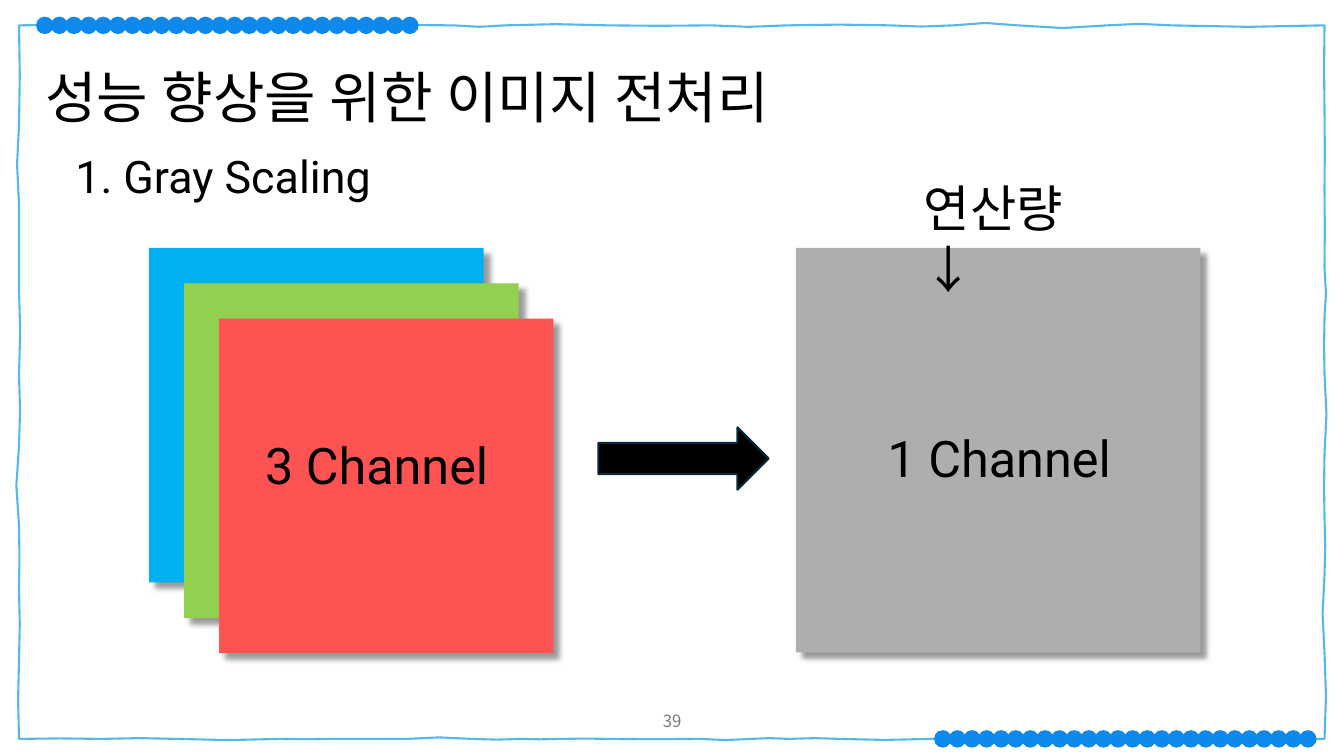
from dataclasses import dataclass

from lxml.etree import SubElement
from pptx import Presentation
from pptx.dml.color import RGBColor
from pptx.enum.lang import MSO_LANGUAGE_ID
from pptx.enum.shapes import MSO_SHAPE
from pptx.enum.text import MSO_ANCHOR, MSO_AUTO_SIZE, PP_ALIGN
from pptx.oxml.ns import qn
from pptx.shapes.autoshape import Shape
from pptx.shapes.shapetree import GroupShapes, SlideShapes
from pptx.util import Cm, Pt


@dataclass(frozen=True)
class Theme:
    font: str = "Roboto"
    number_font: str = "Noto Sans CJK KR"
    ink: str = "000000"
    number: str = "797979"
    frame: str = "56B7E8"
    dot: str = "0D88ED"
    blue: str = "00B0F0"
    green: str = "92D050"
    red: str = "FF5353"
    gray: str = "AEAEAE"
    arrow_line: str = "092A39"
    title_size: int = 40
    label_size: int = 36
    heading_size: int = 32
    number_size: int = 12


THEME = Theme()


@dataclass(frozen=True)
class Label:
    text: str
    left: float
    top: float
    width: float
    height: float
    size: int = THEME.label_size
    wrap: bool = False
    font: str = THEME.font
    color: str = THEME.ink
    align: PP_ALIGN = PP_ALIGN.LEFT
    anchor: MSO_ANCHOR = MSO_ANCHOR.TOP


@dataclass(frozen=True)
class Square:
    left: float
    top: float
    side: float
    color: str


@dataclass(frozen=True)
class Wave:
    stop: float
    first: float
    second: float


@dataclass(frozen=True)
class Edge:
    start: float
    level: float
    horizontal: bool
    waves: tuple[Wave, ...]


def waves(*rows: tuple[float, float, float]) -> tuple[Wave, ...]:
    return tuple(Wave(*row) for row in rows)


LEFT, TOP, RIGHT, BOTTOM = 0.48, 0.64, 33.38, 18.62
CURVE_STEPS = 2

FRAME = (
    Edge(LEFT, TOP, True, waves(
        (2.08, 0.05, -0.08), (3.02, 0.08, 0.03), (5.64, -0.03, -0.1),
        (7.24, 0.1, 0.05), (8.84, -0.05, -0.05), (11.43, 0.08, -0.1),
        (12.73, 0.1, 0), (15.32, 0, -0.08), (17.91, 0.08, -0.05),
        (19.84, 0.05, 0.05), (22.43, -0.05, 0), (24.03, 0, 0.08),
        (25.65, -0.08, -0.08), (27.91, 0.08, 0.1), (29.51, -0.1, 0),
        (RIGHT, 0, 0.1))),
    Edge(TOP, RIGHT, False, waves(
        (2.79, 0, -0.03), (4.78, 0.05, -0.03), (6.76, 0.05, -0.03),
        (8, 0.05, 0.05), (9.45, -0.03, 0), (11.43, 0.03, 0.1),
        (13.06, -0.08, 0.05), (14.48, -0.03, 0.08), (16.46, -0.05, -0.08),
        (BOTTOM, 0.1, 0))),
    Edge(RIGHT, BOTTOM, True, waves(
        (31.45, 0.08, -0.03), (30.18, 0.03, -0.03), (27.91, 0.03, -0.05),
        (26.64, 0.05, 0.03), (24.36, -0.03, 0.08), (23.42, -0.08, 0.03),
        (21.16, -0.03, 0.1), (19.89, -0.1, 0.05), (18.92, -0.05, 0),
        (17.65, 0.03, 0.05), (15.39, -0.03, 0.05), (14.1, -0.05, 0.03),
        (13.16, 0.03, 0), (11.89, 0, 0.05), (10.26, -0.05, -0.05),
        (8.33, 0.05, -0.05), (7.06, 0.05, -0.03), (4.47, 0.08, 0),
        (2.54, 0, -0.05), (LEFT, 0.05, -0.08))),
    Edge(BOTTOM, LEFT, False, waves(
        (16.64, -0.03, -0.03), (14.83, 0, 0.05), (13.23, -0.05, 0.08),
        (11.25, -0.08, -0.1), (9.45, 0.1, -0.03), (7.29, 0, 0.08),
        (5.13, -0.08, 0.08), (3.15, -0.08, -0.05), (TOP, 0.05, 0))),
)

DOT_COUNT, DOT_SIZE, DOT_ROW_SPAN = 26, 0.44, 9.2
DOT_ROWS = ((0.91, 0.42), (23.54, 18.4))

STEP_RIGHT, STEP_DOWN = 0.88, 0.89
SQUARES = (
    *(Square(3.76 + i * STEP_RIGHT, 6.25 + i * STEP_DOWN, 8.43, color)
      for i, color in enumerate((THEME.blue, THEME.green, THEME.red))),
    Square(20.06, 6.25, 10.19, THEME.gray),
)

LABELS = (
    Label("39", 13.13, 17.65, 7.62, 1.02, THEME.number_size, True,
          THEME.number_font, THEME.number, PP_ALIGN.CENTER, MSO_ANCHOR.MIDDLE),
    Label("성능 향상을 위한 이미지 전처리", 0.89, 1.45, 31.32, 1.96, THEME.title_size, True),
    Label("1. Gray Scaling", 1.65, 3.63, 8.64, 1.63, THEME.heading_size),
    Label("3 Channel", 6.43, 10.82, 6.53, 1.8),
    Label("1 Channel", 22.12, 10.65, 6.53, 1.8),
    Label("연산량 ↓", 23.03, 4.34, 5.46, 1.8, wrap=True),
)


def edge_points(edge: Edge) -> list[tuple[Cm, Cm]]:
    points = []
    start = edge.start
    for wave in edge.waves:
        for step in range(1, CURVE_STEPS + 1):
            t = step / CURVE_STEPS
            along = start + (wave.stop - start) * t
            bend = 3 * t * (1 - t) * (wave.first * (1 - t) + wave.second * t)
            across = edge.level + bend
            x, y = (along, across) if edge.horizontal else (across, along)
            points.append((Cm(x), Cm(y)))
        start = wave.stop
    return points


def draw_frame(shapes: SlideShapes) -> None:
    builder = shapes.build_freeform(Cm(LEFT), Cm(TOP))
    builder.add_line_segments([point for edge in FRAME for point in edge_points(edge)])
    frame = builder.convert_to_shape()
    frame.shadow.inherit = False
    frame.fill.background()
    frame.line.color.rgb = RGBColor.from_string(THEME.frame)
    frame.line.width = Pt(1.5)


def draw_shape(shapes: SlideShapes | GroupShapes, kind: MSO_SHAPE, left: float,
               top: float, width: float, height: float, color: str) -> Shape:
    shape = shapes.add_shape(kind, Cm(left), Cm(top), Cm(width), Cm(height))
    shape.shadow.inherit = False
    shape.fill.solid()
    shape.fill.fore_color.rgb = RGBColor.from_string(color)
    shape.line.fill.background()
    return shape


def draw_dot_row(shapes: SlideShapes, left: float, top: float) -> None:
    row = shapes.add_group_shape()
    gap = DOT_ROW_SPAN / (DOT_COUNT - 1)
    for i in range(DOT_COUNT):
        draw_shape(row.shapes, MSO_SHAPE.OVAL, left + i * gap, top, DOT_SIZE, DOT_SIZE, THEME.dot)


def draw_square(shapes: SlideShapes, square: Square) -> None:
    shape = draw_shape(shapes, MSO_SHAPE.RECTANGLE, square.left, square.top,
                       square.side, square.side, square.color)
    effects = shape.element.spPr.find(qn("a:effectLst"))
    shadow = SubElement(effects, qn("a:outerShdw"), blurRad=str(Pt(4)), dist=str(Pt(6)),
                        dir="2700000", algn="tl", rotWithShape="0")
    color = SubElement(shadow, qn("a:srgbClr"), val=THEME.ink)
    SubElement(color, qn("a:alpha"), val="40000")


def draw_label(shapes: SlideShapes, label: Label) -> None:
    box = shapes.add_textbox(Cm(label.left), Cm(label.top), Cm(label.width), Cm(label.height))
    frame = box.text_frame
    frame.word_wrap = label.wrap
    frame.auto_size = MSO_AUTO_SIZE.NONE
    frame.vertical_anchor = label.anchor
    para = frame.paragraphs[0]
    para.alignment = label.align
    span = para.add_run()
    span.text = label.text
    span.font.name = label.font
    span.font.size = Pt(label.size)
    span.font.language_id = MSO_LANGUAGE_ID.KOREAN
    span.font.color.rgb = RGBColor.from_string(label.color)
    for script in ("a:ea", "a:cs"):
        SubElement(span.font._element, qn(script), typeface=label.font)


def main() -> None:
    deck = Presentation()
    deck.slide_width, deck.slide_height = Cm(33.87), Cm(19.05)
    page = deck.slides.add_slide(deck.slide_layouts[6])
    draw_frame(page.shapes)
    for left, top in DOT_ROWS:
        draw_dot_row(page.shapes, left, top)
    for square in SQUARES:
        draw_square(page.shapes, square)
    arrow = draw_shape(page.shapes, MSO_SHAPE.RIGHT_ARROW, 15.08, 10.77, 4.29, 1.57, THEME.ink)
    arrow.line.color.rgb = RGBColor.from_string(THEME.arrow_line)
    arrow.line.width = Pt(1.5)
    for label in LABELS:
        draw_label(page.shapes, label)
    deck.save("out.pptx")


if __name__ == "__main__":
    main()
